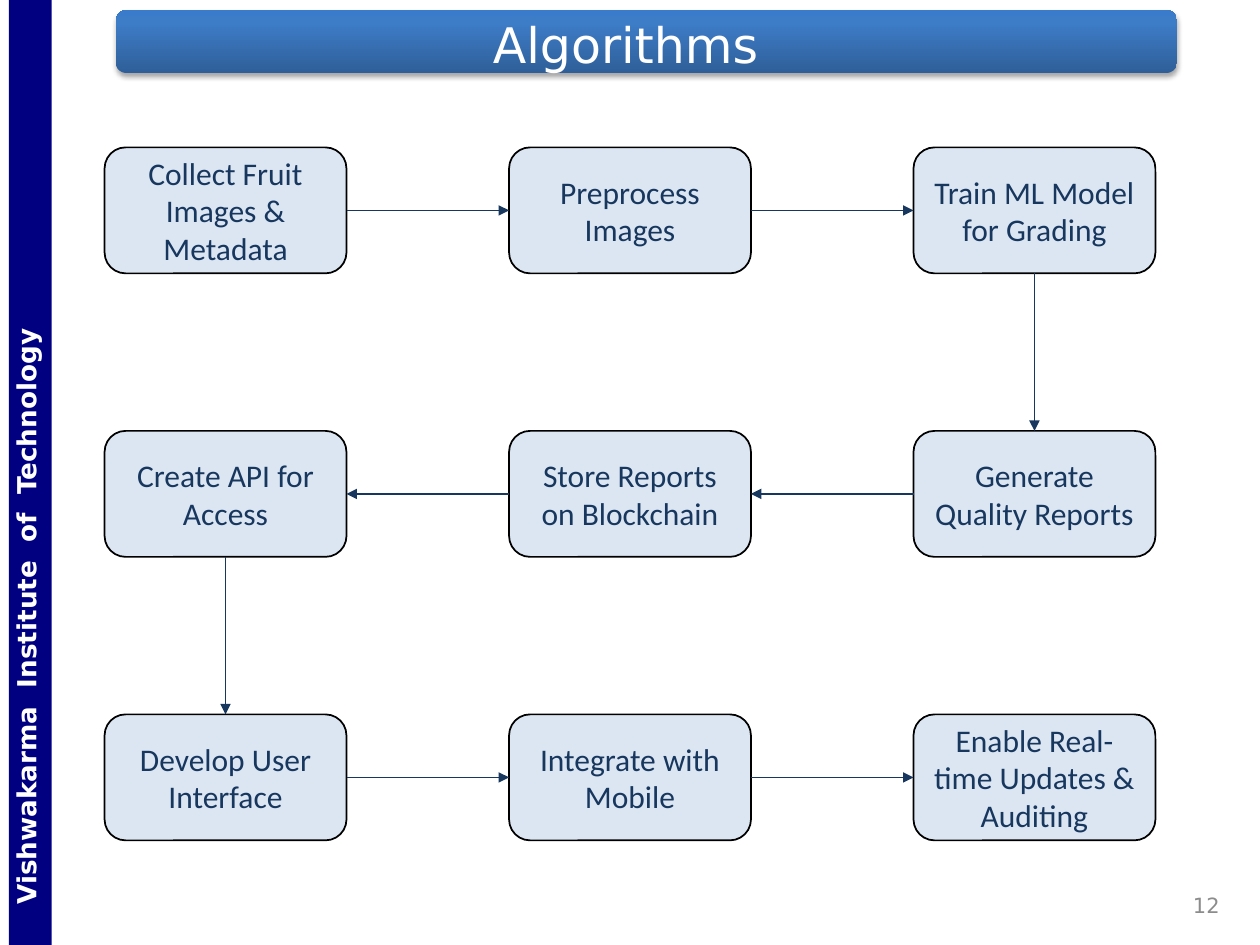
from itertools import pairwise
from lxml import etree
from pptx import Presentation
from pptx import util as u
from pptx.dml.color import RGBColor
from pptx.enum import shapes, text
from pptx.oxml import parse_xml
from pptx.oxml.ns import qn

# Content: steps in order of flow; odd rows run right to left
STEPS = [
    "Collect Fruit Images & Metadata", "Preprocess Images", "Train ML Model for Grading",
    "Generate Quality Reports", "Store Reports on Blockchain", "Create API for Access",
    "Develop User Interface", "Integrate with Mobile", "Enable Real-time Updates & Auditing",
]
TITLE = "Algorithms"
SCHOOL = "Vishwakarma  Institute  of  Technology"
PAGE = "12"

# Formats
WIDE, HIGH = 10, 7.5
COLS = 3
BOX_W, BOX_H = 1.92, 1
LEFT, TOP = 0.83, 1.17
STEP_X, STEP_Y = 3.21, 2.25
NAVY, PALE, INK, WHITE, GRAY = "000080", "DCE6F2", "17375E", "FFFFFF", "8C8C8C"
SANS, BODY = "DejaVu Sans", "Calibri"
STOPS = [(0, "2F5F99"), (80, "3D7CC7"), (100, "3A7CCB")]
MID = text.MSO_ANCHOR.MIDDLE
ALIGN = text.PP_ALIGN
NS = 'xmlns:a="http://schemas.openxmlformats.org/drawingml/2006/main"'
# Connection sites of a box
HEAD, WEST, FOOT, EAST = range(4)


def tint(code):
    return RGBColor.from_string(code)


def write(shape, words, size, font, color, align, bold=False, **frame):
    box = shape.text_frame
    for key, value in {"word_wrap": True, "vertical_anchor": MID, **frame}.items():
        setattr(box, key, value)
    para = box.paragraphs[0]
    para.alignment = align
    run = para.add_run()
    run.text = words
    for key, value in {"size": u.Pt(size), "name": font, "bold": bold}.items():
        setattr(run.font, key, value)
    run.font.color.rgb = tint(color)


def block(slide, kind, spot, fill=None, line=None):
    shape = slide.shapes.add_shape(kind, *map(u.Inches, spot))
    shape.shadow.inherit = False
    if fill:
        shape.fill.solid()
        shape.fill.fore_color.rgb = tint(fill)
    if line:
        shape.line.color.rgb = tint(line)
        shape.line.width = u.Pt(1)
    else:
        shape.line.fill.background()
    return shape


def label(slide, spot, *args, **frame):
    write(slide.shapes.add_textbox(*map(u.Inches, spot)), *args, **frame)


def banner(slide, spot):
    props = block(slide, shapes.MSO_SHAPE.ROUNDED_RECTANGLE, spot)._element.spPr
    stops = "".join(f'<a:gs pos="{at * 1000}"><a:srgbClr val="{code}"/></a:gs>'
                    for at, code in STOPS)
    props.find(qn("a:prstGeom")).addnext(parse_xml(
        f'<a:gradFill {NS}><a:gsLst>{stops}</a:gsLst><a:lin ang="16200000"/></a:gradFill>'))
    props.find(qn("a:effectLst")).append(parse_xml(
        f'<a:outerShdw {NS} blurRad="{u.Pt(3.1)}" dist="{u.Pt(1.8)}" dir="5400000" '
        'rotWithShape="0"><a:srgbClr val="000000"><a:alpha val="35000"/></a:srgbClr>'
        '</a:outerShdw>'))


def arrow(slide, start, out, end, into):
    link = slide.shapes.add_connector(shapes.MSO_CONNECTOR.STRAIGHT, 0, 0, 0, 0)
    link.begin_connect(start, out)
    link.end_connect(end, into)
    link.line.color.rgb = tint(INK)
    link.line.width = u.Pt(0.75)
    props = link._element.spPr
    etree.SubElement(props.find(qn("a:ln")), qn("a:tailEnd"), type="triangle")
    etree.SubElement(props, qn("a:effectLst"))


def main():
    deck = Presentation()
    deck.slide_width, deck.slide_height = u.Inches(WIDE), u.Inches(HIGH)
    slide = deck.slides.add_slide(deck.slide_layouts[6])

    # Banner, side strip, page number and title
    banner(slide, (0.92, 0.08, 8.42, 0.5))
    strip = block(slide, shapes.MSO_SHAPE.RECTANGLE, (-3.51, 3.58, HIGH, 0.34), NAVY)
    strip.rotation = 270
    write(strip, SCHOOL, 15, SANS, WHITE, ALIGN.LEFT, bold=True,
          vertical_anchor=text.MSO_ANCHOR.TOP, margin_left=u.Inches(0.32),
          margin_top=u.Inches(0.01), margin_bottom=u.Inches(0.07))
    label(slide, (8.08, 7.08, 1.75, 0.21), PAGE, 12, SANS, GRAY, ALIGN.RIGHT,
          margin_right=u.Inches(0.15))
    label(slide, (1.8, 0, 6.33, 0.7), TITLE, 28, SANS, WHITE, ALIGN.CENTER)

    # Step boxes along a winding grid
    flow = []
    for i, words in enumerate(STEPS):
        row, col = divmod(i, COLS)
        if row % 2:
            col = COLS - 1 - col
        spot = (LEFT + col * STEP_X, TOP + row * STEP_Y, BOX_W, BOX_H)
        box = block(slide, shapes.MSO_SHAPE.ROUNDED_RECTANGLE, spot, PALE, "000000")
        write(box, words, 18, BODY, INK, ALIGN.CENTER)
        flow.append((row, box))

    # Arrows from each step to the next
    for (row, start), (below, end) in pairwise(flow):
        if below > row:
            out, into = FOOT, HEAD
        else:
            out, into = (WEST, EAST) if row % 2 else (EAST, WEST)
        arrow(slide, start, out, end, into)

    deck.save("out.pptx")


if __name__ == "__main__":
    main()
